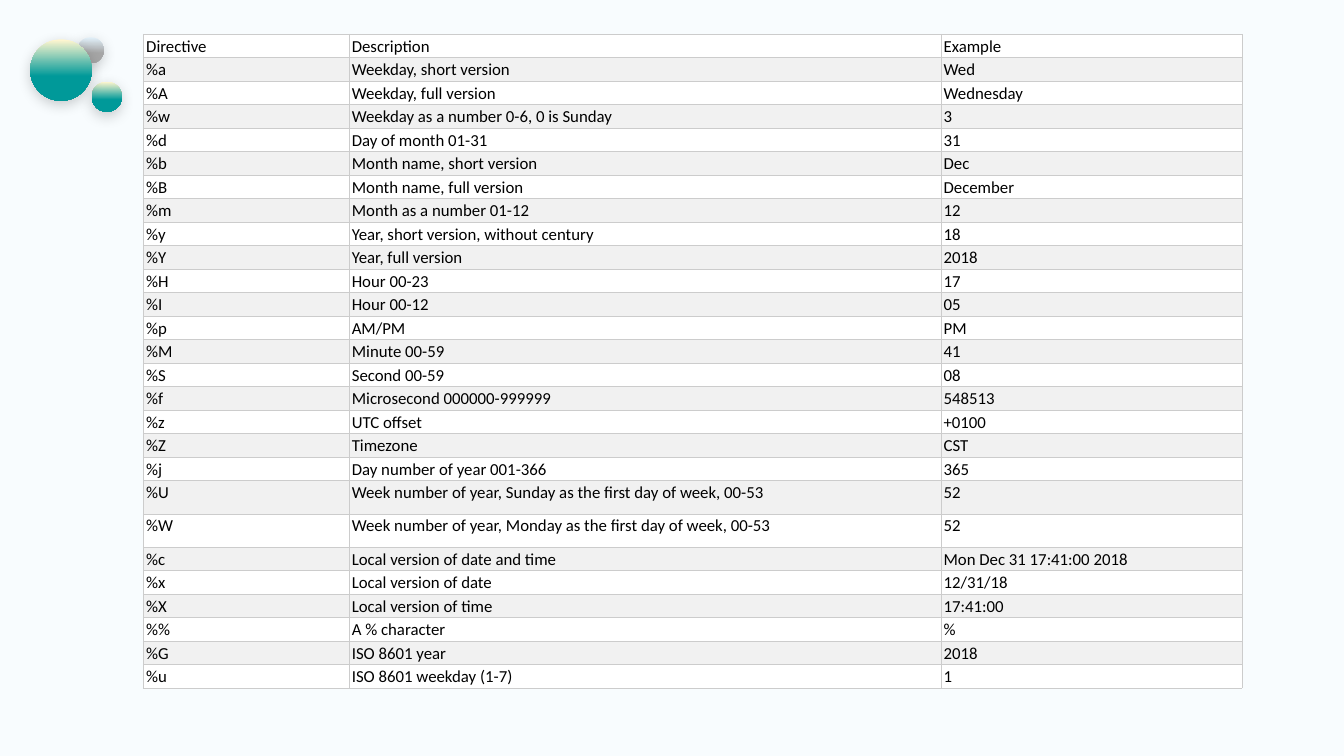
from lxml.etree import SubElement
from pptx import Presentation
from pptx.dml.color import RGBColor
from pptx.enum.shapes import MSO_SHAPE
from pptx.oxml.ns import qn
from pptx.util import Inches, Pt

TEAL = ("FFF6CF", "009999")
GRAY = ("E1F0F9", "A5A5A5")
BUBBLES = [
    (0.77, 0.37, 0.26, GRAY),
    (0.91, 0.81, 0.3, TEAL),
    (0.3, 0.39, 0.61, TEAL),
]

COLUMN_WIDTHS = (2.05, 5.87, 2.98)
ROW_HEIGHT = 0.23
TALL_ROW_HEIGHT = 0.33
TALL_DIRECTIVES = ("%U", "%W")
BAND_COLORS = ("FFFFFF", "F1F1F1")
DIRECTIVES = [
    ("Directive", "Description", "Example"),
    ("%a", "Weekday, short version", "Wed"),
    ("%A", "Weekday, full version", "Wednesday"),
    ("%w", "Weekday as a number 0-6, 0 is Sunday", "3"),
    ("%d", "Day of month 01-31", "31"),
    ("%b", "Month name, short version", "Dec"),
    ("%B", "Month name, full version", "December"),
    ("%m", "Month as a number 01-12", "12"),
    ("%y", "Year, short version, without century", "18"),
    ("%Y", "Year, full version", "2018"),
    ("%H", "Hour 00-23", "17"),
    ("%I", "Hour 00-12", "05"),
    ("%p", "AM/PM", "PM"),
    ("%M", "Minute 00-59", "41"),
    ("%S", "Second 00-59", "08"),
    ("%f", "Microsecond 000000-999999", "548513"),
    ("%z", "UTC offset", "+0100"),
    ("%Z", "Timezone", "CST"),
    ("%j", "Day number of year 001-366", "365"),
    ("%U", "Week number of year, Sunday as the first day of week, 00-53", "52"),
    ("%W", "Week number of year, Monday as the first day of week, 00-53", "52"),
    ("%c", "Local version of date and time", "Mon Dec 31 17:41:00 2018"),
    ("%x", "Local version of date", "12/31/18"),
    ("%X", "Local version of time", "17:41:00"),
    ("%%", "A % character", "%"),
    ("%G", "ISO 8601 year", "2018"),
    ("%u", "ISO 8601 weekday (1-7)", "1"),
]


def rgb(hex_color):
    return RGBColor.from_string(hex_color)


def add_soft_shadow(shape):
    shape.shadow.inherit = False
    effects = shape._element.spPr.find(qn("a:effectLst"))
    shadow = SubElement(effects, qn("a:outerShdw"), blurRad=str(Pt(10)),
                        dist=str(Pt(3)), dir="5400000", rotWithShape="0")
    color = SubElement(shadow, qn("a:srgbClr"), val="000000")
    SubElement(color, qn("a:alpha"), val="20000")


def add_bubble(slide, left, top, diameter, colors):
    bubble = slide.shapes.add_shape(MSO_SHAPE.OVAL, Inches(left), Inches(top),
                                    Inches(diameter), Inches(diameter))
    bubble.fill.gradient()
    bubble.fill.gradient_angle = 270
    for stop, position, color in zip(bubble.fill.gradient_stops, (0.01, 0.6), colors):
        stop.position = position
        stop.color.rgb = rgb(color)
    bubble.line.fill.background()
    add_soft_shadow(bubble)


def set_borders(cell, color, width):
    """Put the four side lines ahead of the fill, as the schema orders them."""
    properties = cell._tc.get_or_add_tcPr()
    for index, side in enumerate(("lnL", "lnR", "lnT", "lnB")):
        border = SubElement(properties, qn(f"a:{side}"), w=str(Pt(width)))
        fill = SubElement(border, qn("a:solidFill"))
        SubElement(fill, qn("a:srgbClr"), val=color)
        properties.insert(index, border)


def fill_cell(cell, text, background, left_margin):
    cell.margin_left = Inches(left_margin)
    cell.margin_right = cell.margin_top = Inches(0.02)
    cell.margin_bottom = Inches(0.01)
    cell.fill.solid()
    cell.fill.fore_color.rgb = rgb(background)
    set_borders(cell, "CCCCCC", 0.6)
    run = cell.text_frame.paragraphs[0].add_run()
    run.text = text
    run.font.name = "Calibri"
    run.font.size = Pt(12)
    run.font.color.rgb = rgb("000000")


def add_directive_table(slide):
    heights = [TALL_ROW_HEIGHT if row[0] in TALL_DIRECTIVES else ROW_HEIGHT
               for row in DIRECTIVES]
    table = slide.shapes.add_table(
        len(DIRECTIVES), len(COLUMN_WIDTHS), Inches(1.42), Inches(0.34),
        Inches(sum(COLUMN_WIDTHS)), Inches(sum(heights))).table
    table.first_row = False
    table.horz_banding = False
    for column, width in zip(table.columns, COLUMN_WIDTHS):
        column.width = Inches(width)
    for row_index, (texts, height) in enumerate(zip(DIRECTIVES, heights)):
        table.rows[row_index].height = Inches(height)
        for column_index, text in enumerate(texts):
            fill_cell(table.cell(row_index, column_index), text,
                      BAND_COLORS[row_index % 2],
                      0.03 if column_index == 0 else 0.02)


def main():
    deck = Presentation()
    deck.slide_width = Inches(13.33)
    deck.slide_height = Inches(7.5)
    slide = deck.slides.add_slide(deck.slide_layouts[6])
    slide.background.fill.solid()
    slide.background.fill.fore_color.rgb = rgb("F8FCFE")
    for bubble in BUBBLES:
        add_bubble(slide, *bubble)
    add_directive_table(slide)
    deck.save("out.pptx")


if __name__ == "__main__":
    main()
